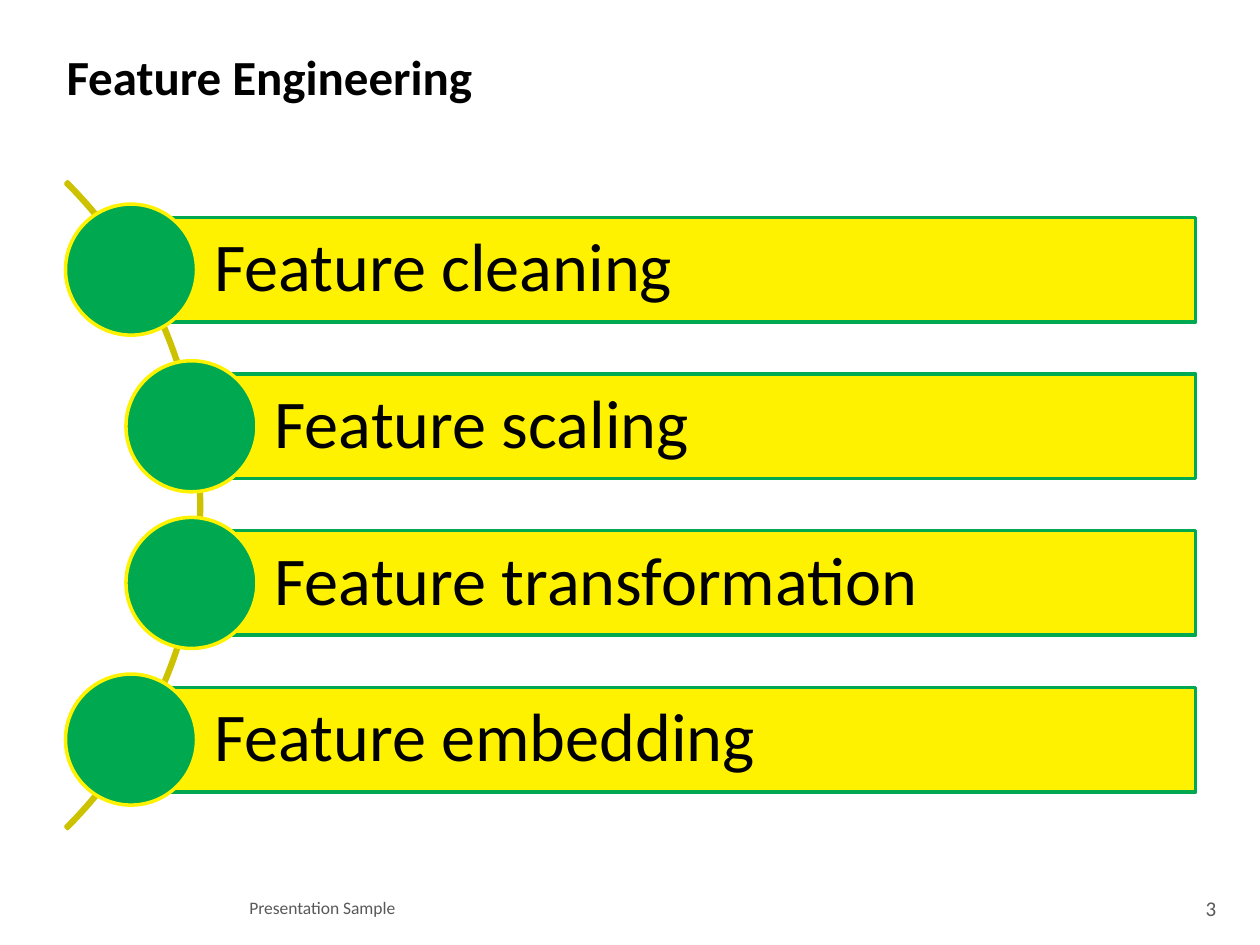
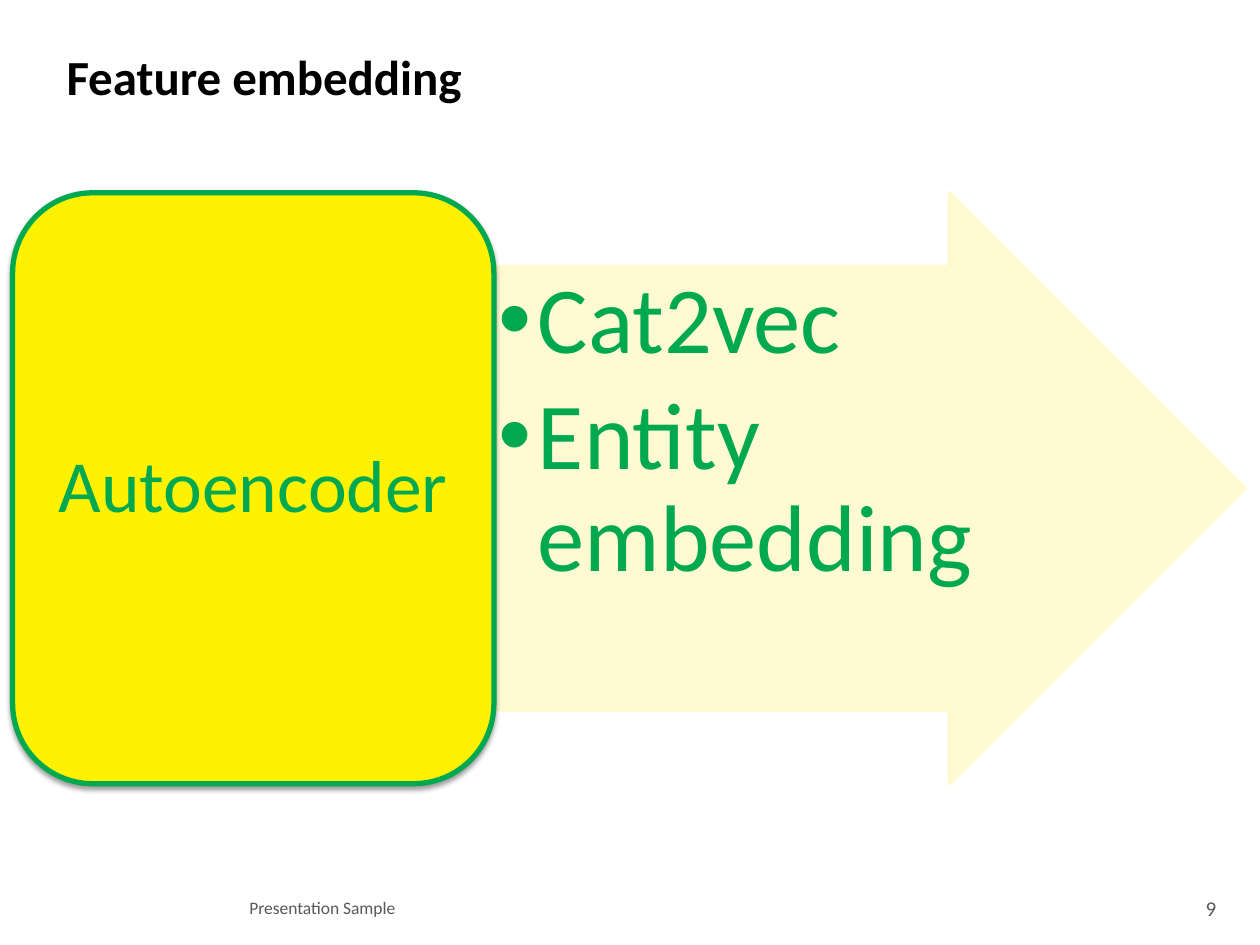
from lxml import etree
from pptx import Presentation
from pptx import util as u
from pptx.dml.color import RGBColor
from pptx.enum import shapes, text
from pptx.oxml import parse_xml
from pptx.oxml.ns import nsdecls, qn

COLORS = {"black": "000000", "grey": "595959", "green": "00A94F",
          "yellow": "FFF200", "olive": "CCC200", "cream": "FFFACC"}
FONT = "Calibri"
FOOTER = "Presentation Sample"
KIND = shapes.MSO_SHAPE
MIDDLE = text.MSO_ANCHOR.MIDDLE
TOP = text.MSO_ANCHOR.TOP
LEFT = text.PP_ALIGN.LEFT
CENTER = text.PP_ALIGN.CENTER


def rgb(name):
    return RGBColor.from_string(COLORS[name])


class Deck:
    """Holds the shared style and the slide being drawn."""

    def __init__(self):
        self.deck = Presentation()
        self.deck.slide_width = u.Inches(10)
        self.deck.slide_height = u.Inches(7.5)
        self.page = None

    def new_page(self, title, number):
        self.page = self.deck.slides.add_slide(self.deck.slide_layouts[6])
        self.label((0.43, 0.3, 9.13, 0.61), [title], 28, "black", bold=True)
        self.label((9.47, 7.05, 0.53, 0.31), [number], 12, "grey")
        self.label((1.88, 7.05, 4.21, 0.31), [FOOTER], 10, "grey")

    def fill_text(self, box, lines, size, color, bold=False, align=LEFT,
                  anchor=MIDDLE, insets=(0.1, 0.05, 0.1, 0.05), spacing=1.0, after=0):
        frame = box.text_frame
        left, top, right, bottom = map(u.Inches, insets)
        layout = {"word_wrap": True, "vertical_anchor": anchor,
                  "margin_left": left, "margin_top": top,
                  "margin_right": right, "margin_bottom": bottom}
        for name, value in layout.items():
            setattr(frame, name, value)
        for index, line in enumerate(lines):
            para = frame.add_paragraph() if index else frame.paragraphs[0]
            para.alignment, para.line_spacing = align, spacing
            para.space_after = u.Pt(after)
            span = para.add_run()
            span.text = line
            look = {"name": FONT, "size": u.Pt(size), "bold": bold}
            for name, value in look.items():
                setattr(span.font, name, value)
            span.font.color.rgb = rgb(color)
        return frame

    def label(self, place, lines, size, color, **options):
        box = self.page.shapes.add_textbox(*map(u.Inches, place))
        return self.fill_text(box, lines, size, color, **options)

    def bullets(self, place, lines, size, color, indent, **options):
        frame = self.label(place, lines, size, color, **options)
        for para in frame.paragraphs:
            props = para._p.get_or_add_pPr()
            props.set("marL", str(u.Inches(indent)))
            props.set("indent", str(-u.Inches(indent)))
            etree.SubElement(props, qn("a:buFont")).set("typeface", "Arial")
            etree.SubElement(props, qn("a:buChar")).set("char", "•")

    def shape(self, kind, place, fill, line, width=2, adjust=(), opacity=None):
        box = self.page.shapes.add_shape(kind, *map(u.Inches, place))
        box.shadow.inherit = False
        for index, value in enumerate(adjust):
            box.adjustments[index] = value
        if fill:
            box.fill.solid()
            box.fill.fore_color.rgb = rgb(fill)
        else:
            box.fill.background()
        box.line.color.rgb = rgb(line)
        box.line.width = u.Pt(width)
        if opacity:
            for color in box._element.spPr.iter(qn("a:srgbClr")):
                etree.SubElement(color, qn("a:alpha")).set("val", str(opacity * 1000))
        return box

    def drop_shadow(self, box, blur, distance, opacity):
        effects = box._element.spPr.find(qn("a:effectLst"))
        effects.append(parse_xml(
            f'<a:outerShdw {nsdecls("a")} blurRad="{u.Pt(blur)}" dist="{u.Pt(distance)}" '
            f'dir="5400000" rotWithShape="0"><a:srgbClr val="{COLORS["black"]}">'
            f'<a:alpha val="{opacity * 1000}"/></a:srgbClr></a:outerShdw>'))


show = Deck()

# Feature engineering: four bars hung on an arc
show.new_page("Feature Engineering", "3")
show.shape(KIND.BLOCK_ARC, (-5.66, 0.38, 7.26, 7.26), None, "olive",
           adjust=(189, 27, 0.003))
BAR_RIGHT, BAR_HEIGHT, DOT = 9.49, 0.83, 1.04
FIRST_CENTER, LAST_CENTER = 2.14, 5.87
steps = [("Feature cleaning", 1.04), ("Feature scaling", 1.52),
         ("Feature transformation", 1.52), ("Feature embedding", 1.04)]
pitch = (LAST_CENTER - FIRST_CENTER) / (len(steps) - 1)
for row, (name, left) in enumerate(steps):
    middle = FIRST_CENTER + row * pitch
    bar = show.shape(KIND.RECTANGLE, (left, middle - BAR_HEIGHT / 2,
                                      BAR_RIGHT - left, BAR_HEIGHT), "yellow", "green")
    show.fill_text(bar, [name], 39, "black", insets=(0.66, 0.11, 0.11, 0.11), spacing=0.9)
    show.shape(KIND.OVAL, (left - DOT / 2, middle - DOT / 2, DOT, DOT), "green", "yellow")

# Feature embedding: a card with an arrow of methods
show.new_page("Feature embedding", "9")
TOP_EDGE, HEIGHT, SPLIT = 1.53, 4.69, 3.92
show.shape(KIND.RIGHT_ARROW, (SPLIT, TOP_EDGE, 5.96, HEIGHT), "cream", "cream",
           adjust=(0.75, 0.5), opacity=90)
show.bullets((SPLIT, 2.12, 4.2, 3.51), ["Cat2vec", "Entity embedding"], 54, "green",
             indent=0.31, anchor=TOP, insets=(0.04,) * 4, spacing=0.9, after=8)
card = show.shape(KIND.ROUNDED_RECTANGLE, (0.1, TOP_EDGE, SPLIT - 0.1, HEIGHT),
                  "yellow", "green", width=3)
show.drop_shadow(card, blur=3.1, distance=1.6, opacity=38)
show.fill_text(card, ["Autoencoder"], 42, "green", align=CENTER,
               insets=(0.17, 0.09, 0.17, 0.09), spacing=0.9)

show.deck.save("out.pptx")
